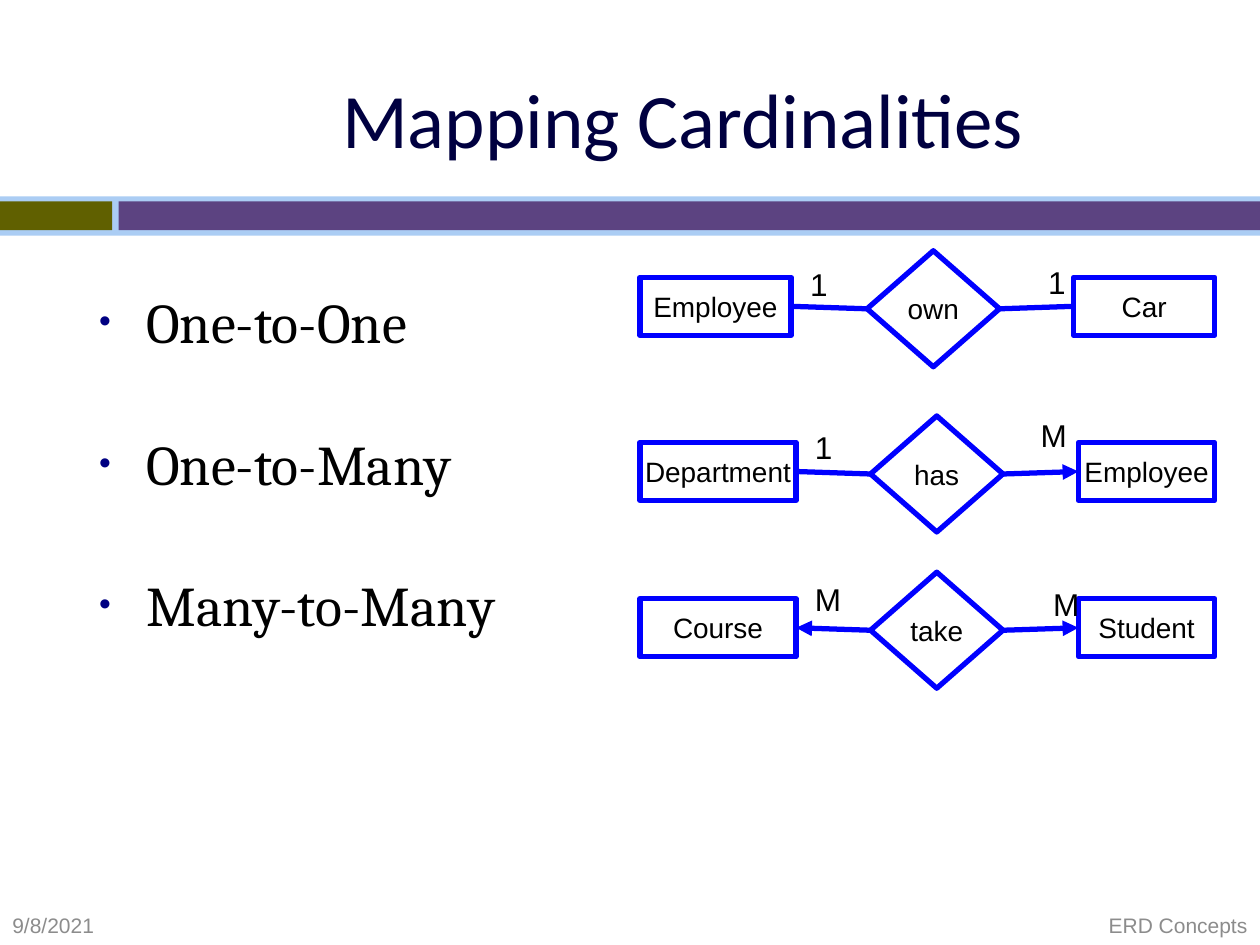
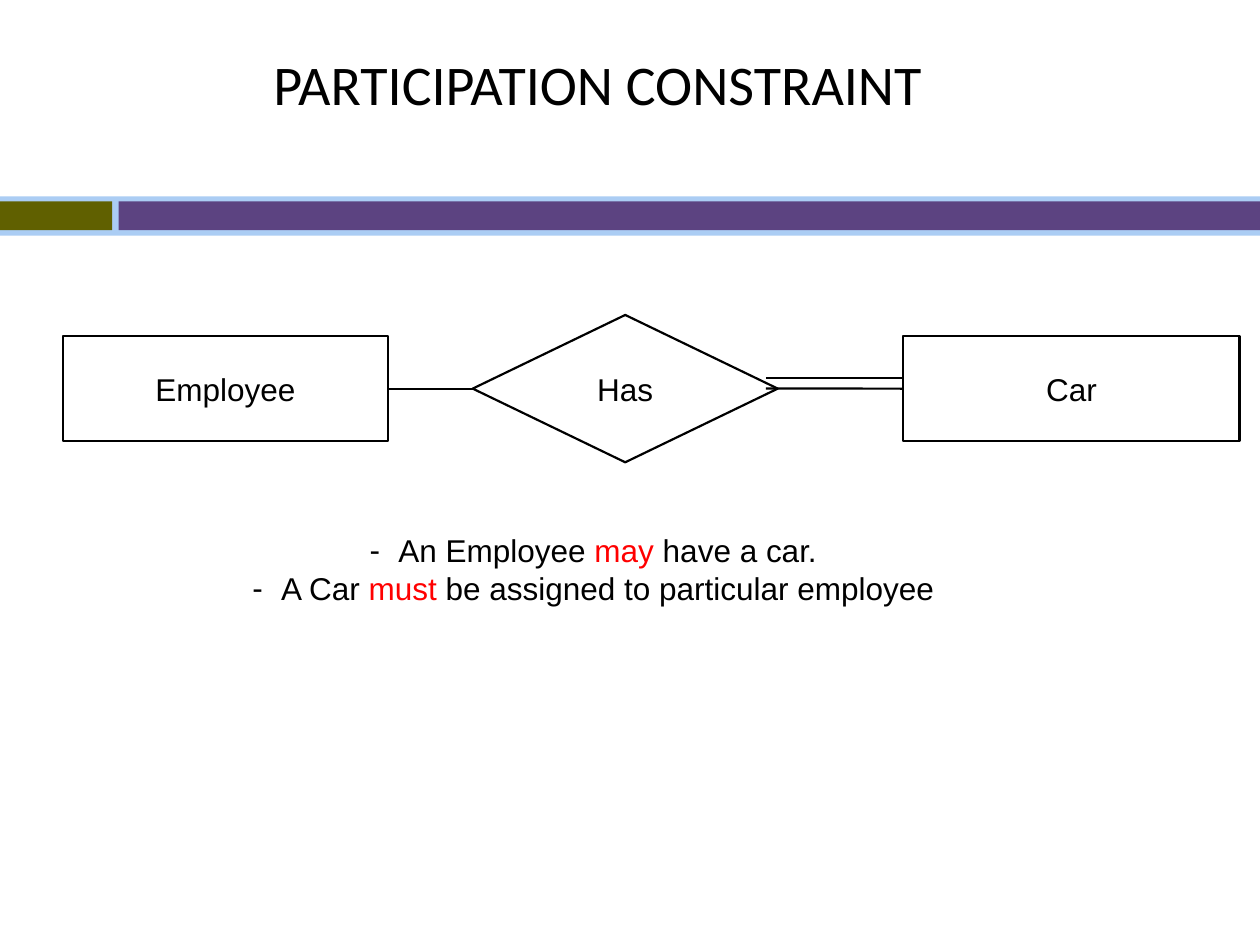
from lxml.etree import SubElement
from pptx import Presentation
from pptx.dml.color import RGBColor
from pptx.enum.shapes import MSO_CONNECTOR, MSO_SHAPE as Shape
from pptx.enum.text import MSO_ANCHOR as Anchor, MSO_AUTO_SIZE as Fit, PP_ALIGN as Align
from pptx.oxml.ns import qn
from pptx.util import Cm, Pt

BLACK, RED, BLUE, GREY, NAVY = "000000", "FF0000", "0000FF", "8C8C8C", "000040"
BANDS = [(0, 3.96, 25.4, 0.79, "ABCDF4"),
         (0, 4.06, 2.26, 0.58, "606000"),
         (2.39, 4.06, 23.01, 0.58, "5C4381")]

CARDINALITIES = ["One-to-One", "One-to-Many", "Many-to-Many"]
RELATIONS = [
    {"names": ("Employee", "own", "Car"), "top": 5.59, "edges": (15.95, 17.48, 21.64),
     "labels": [("1", 16.08, 5.21), ("1", 20.88, 5.18)], "arrows": (False, False)},
    {"names": ("Department", "has", "Employee"), "top": 8.92, "edges": (16.05, 17.55, 21.74),
     "labels": [("1", 16.18, 8.51), ("M", 20.73, 8.26)], "arrows": (False, True)},
    {"names": ("Course", "take", "Student"), "top": 12.07, "edges": (16.05, 17.55, 21.74),
     "labels": [("M", 16.18, 11.56), ("M", 20.98, 11.66)], "arrows": (True, True)},
]
ROW_LEFT, ROW_RIGHT, ENTITY_HEIGHT = 12.9, 24.49, 1.17
DIAMOND_WIDTH, DIAMOND_HEIGHT, DIAMOND_DROP = 2.67, 2.34, 0.05
FOOTERS = [("9/8/2021", 0, 5, Align.LEFT), ("ERD Concepts", 17.4, 8, Align.RIGHT)]

PARTICIPANTS = [("Employee", Shape.RECTANGLE, (1.27, 6.78, 6.55, 2.11)),
                ("Has", Shape.FLOWCHART_DECISION, (9.53, 6.35, 6.15, 2.97)),
                ("Car", Shape.RECTANGLE, (18.21, 6.78, 6.78, 2.11))]
RULES = [[("An Employee ", BLACK), ("may", RED), (" have a car.", BLACK)],
         [("A Car ", BLACK), ("must", RED), (" be assigned to particular employee", BLACK)]]

LEFT_SIDE, RIGHT_SIDE = 1, 3
NO_INSETS = dict.fromkeys(("margin_left", "margin_top", "margin_right", "margin_bottom"), 0)


def color(value):
    return RGBColor.from_string(value)


def assign(target, values):
    for name, value in values.items():
        setattr(target, name, value)


def write(frame, paragraphs, size, font="Arial", align=Align.CENTER, layout=None, spacing=None):
    """Fill a text frame with paragraphs given as lists of (text, colour) spans."""
    assign(frame, {"word_wrap": True, "auto_size": Fit.NONE, **(layout or {})})
    for index, spans in enumerate(paragraphs):
        para = frame.add_paragraph() if index else frame.paragraphs[0]
        assign(para, {"alignment": align, **(spacing or {})})
        for text, shade in spans:
            span = para.add_run()
            span.text = text
            assign(span.font, {"name": font, "size": Pt(size)})
            span.font.color.rgb = color(shade)


def add_text(page, at, paragraphs, size, **options):
    box = page.shapes.add_textbox(*map(Cm, at))
    write(box.text_frame, paragraphs, size, **options)
    return box


def add_bullets(box, symbol, indent, shade=None, percent=None):
    for para in box.text_frame.paragraphs:
        props = para._p.get_or_add_pPr()
        assign_indent = {"marL": Cm(indent), "indent": -Cm(indent)}
        for name, value in assign_indent.items():
            props.set(name, str(value))
        if shade:
            SubElement(SubElement(props, qn("a:buClr")), qn("a:srgbClr")).set("val", shade)
        if percent:
            SubElement(props, qn("a:buSzPct")).set("val", str(percent * 1000))
        SubElement(props, qn("a:buFont")).set("typeface", "Arial")
        SubElement(props, qn("a:buChar")).set("char", symbol)


def add_node(page, kind, at, name, size, shade, width):
    node = page.shapes.add_shape(kind, *map(Cm, at))
    node.shadow.inherit = False
    node.fill.background()
    node.line.color.rgb = color(shade)
    node.line.width = Pt(width)
    write(node.text_frame, [[(name, BLACK)]], size,
          layout={"word_wrap": False, "vertical_anchor": Anchor.MIDDLE})
    return node


def add_line(page, shade, width, ends=(0, 0, 0, 0), start=None, finish=None, arrow=False):
    """Draw a line between points, or between (node, side) joints."""
    line = page.shapes.add_connector(MSO_CONNECTOR.STRAIGHT, *map(Cm, ends))
    if start:
        line.begin_connect(*start)
    if finish:
        line.end_connect(*finish)
    line.line.color.rgb = color(shade)
    line.line.width = Pt(width)
    if arrow:
        SubElement(line.line._get_or_add_ln(), qn("a:tailEnd")).set("type", "triangle")
    SubElement(line._element.spPr, qn("a:effectLst"))


def add_page(deck, title, at, size, shade, align, layout):
    page = deck.slides.add_slide(deck.slide_layouts[5])
    for *place, fill in BANDS:
        band = page.shapes.add_shape(Shape.RECTANGLE, *map(Cm, place))
        band.shadow.inherit = False
        band.fill.solid()
        band.fill.fore_color.rgb = color(fill)
        band.line.fill.background()
    heading = page.shapes.title
    assign(heading, dict(zip(("left", "top", "width", "height"), map(Cm, at))))
    write(heading.text_frame, [[(title, shade)]], size, "Calibri", align, layout)
    return page


def add_relation(page, names, top, edges, labels, arrows):
    left_end, diamond_left, right_start = edges
    middle = top + ENTITY_HEIGHT / 2 + DIAMOND_DROP
    places = [(ROW_LEFT, top, left_end - ROW_LEFT, ENTITY_HEIGHT),
              (diamond_left, middle - DIAMOND_HEIGHT / 2, DIAMOND_WIDTH, DIAMOND_HEIGHT),
              (right_start, top, ROW_RIGHT - right_start, ENTITY_HEIGHT)]
    kinds = (Shape.RECTANGLE, Shape.DIAMOND, Shape.RECTANGLE)
    first, diamond, second = [add_node(page, kind, at, name, 16, BLUE, 3)
                              for kind, at, name in zip(kinds, places, names)]
    add_line(page, BLUE, 3, start=(diamond, LEFT_SIDE), finish=(first, RIGHT_SIDE), arrow=arrows[0])
    add_line(page, BLUE, 3, start=(diamond, RIGHT_SIDE), finish=(second, LEFT_SIDE), arrow=arrows[1])
    for text, left, label_top in labels:
        add_text(page, (left, label_top, 0.61, 1.02), [[(text, BLACK)]], 18)


def build_cardinalities(deck):
    page = add_page(deck, "Mapping Cardinalities", (2.34, 0.79, 22.86, 3.18), 44, NAVY,
                    Align.CENTER, {"vertical_anchor": Anchor.MIDDLE})
    body = add_text(page, (1.75, 4.45, 10.67, 12.7), [[(text, BLACK)] for text in CARDINALITIES],
                    32, font="Cambria", align=Align.LEFT,
                    spacing={"line_spacing": 1.9, "space_before": Pt(8)})
    add_bullets(body, "•", 0.95, "000082", 60)
    for relation in RELATIONS:
        add_relation(page, **relation)
    for text, left, width, align in FOOTERS:
        add_text(page, (left, 18.26, width, 0.79), [[(text, GREY)]], 12, align=align,
                 layout={"vertical_anchor": Anchor.MIDDLE})


def build_participation(deck):
    page = add_page(deck, "PARTICIPATION CONSTRAINT", (5.51, 0.99, 21.06, 2.62), 32, BLACK,
                    Align.LEFT, {"vertical_anchor": Anchor.TOP, **NO_INSETS})
    employee, has, car = [add_node(page, kind, at, name, 18, BLACK, 1.25)
                          for name, kind, at in PARTICIPANTS]
    add_line(page, BLACK, 1.25, (7.82, 6.78, 7.82, 8.89))
    add_line(page, BLACK, 1.25, start=(employee, RIGHT_SIDE), finish=(has, LEFT_SIDE))
    add_line(page, BLACK, 1.25, (15.44, 7.62, 18.21, 7.62))
    add_line(page, BLACK, 1.25, (15.44, 7.83, 18.21, 7.83), finish=(car, LEFT_SIDE))
    rules = add_text(page, (1.7, 10.59, 20.52, 1.8), RULES, 18)
    add_bullets(rules, "-", 0.58)


def main():
    deck = Presentation()
    assign(deck, {"slide_width": Cm(25.4), "slide_height": Cm(19.05)})
    build_cardinalities(deck)
    build_participation(deck)
    deck.save("out.pptx")


if __name__ == "__main__":
    main()
